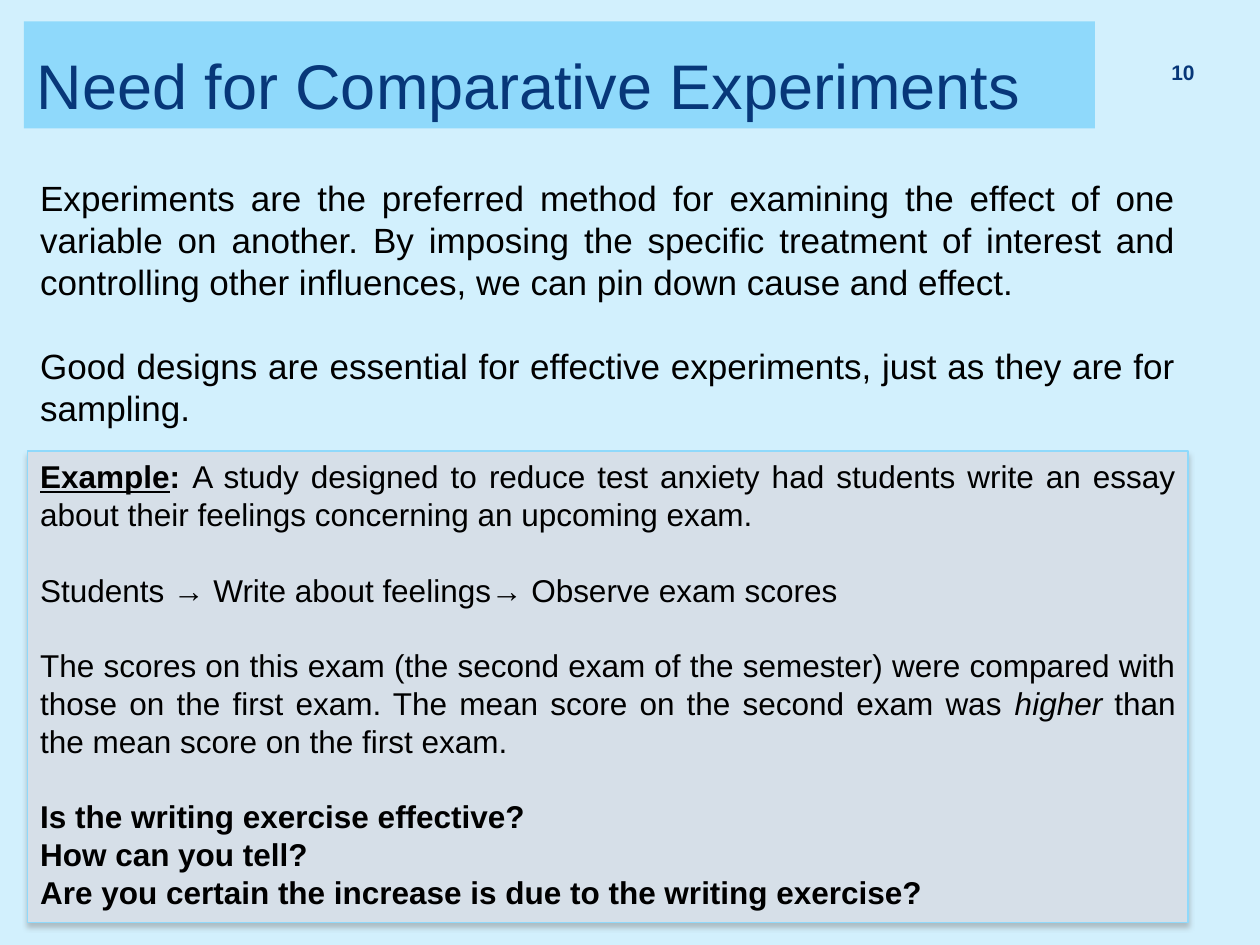
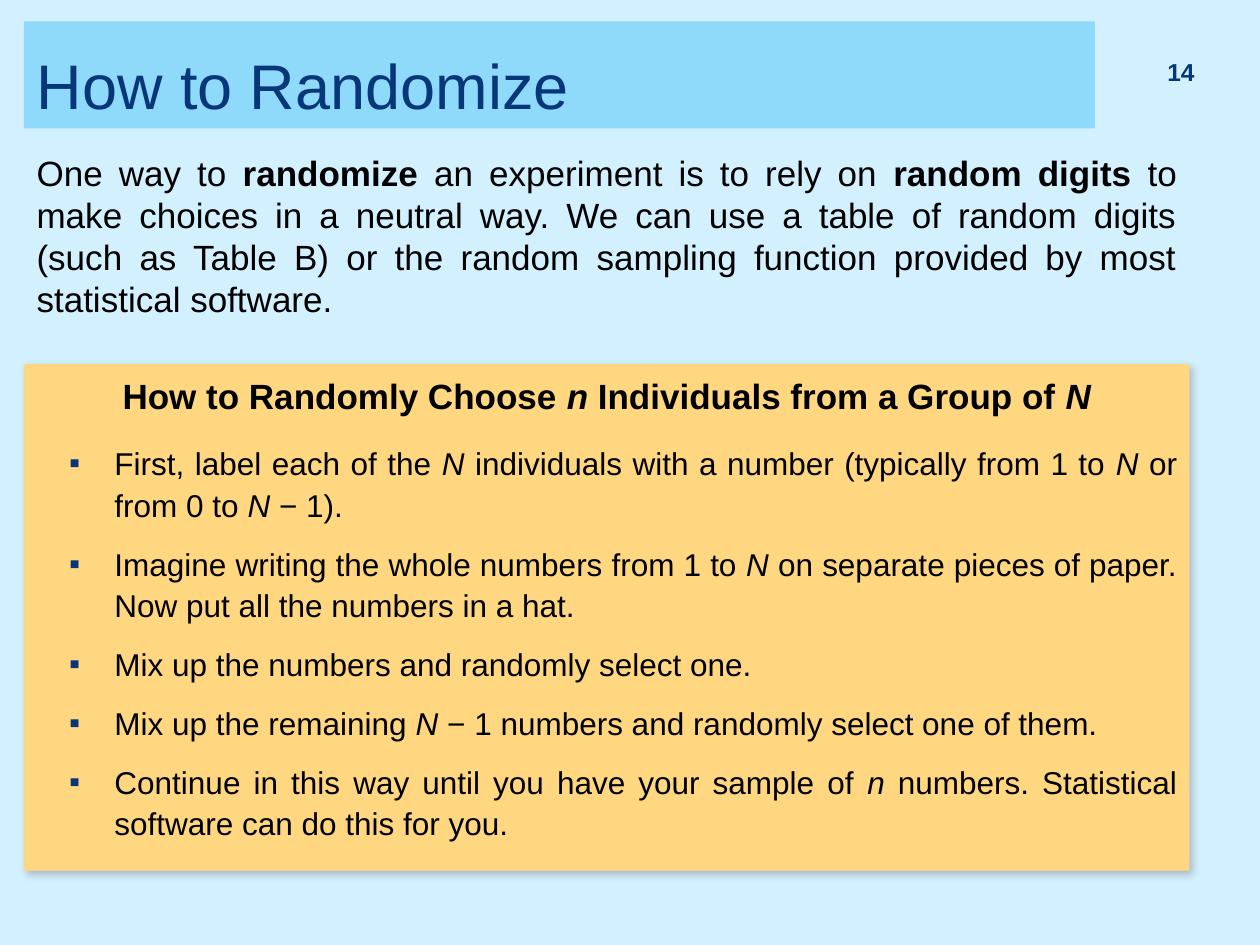
import dataclasses

import lxml.etree
import pptx
import pptx.dml.color
import pptx.enum.shapes
import pptx.enum.text
import pptx.oxml.ns
import pptx.util

Inches = pptx.util.Inches
Pt = pptx.util.Pt
RGB = pptx.dml.color.RGBColor.from_string
qn = pptx.oxml.ns.qn
ALIGN = pptx.enum.text.PP_ALIGN
ANCHOR = pptx.enum.text.MSO_ANCHOR
TITLE_AND_BODY, TITLE_ONLY = 1, 5


@dataclasses.dataclass(frozen=True)
class Theme:
    font: str = "Arial"
    background: str = "D2F0FD"
    band: str = "8FD9FB"
    navy: str = "073779"
    text: str = "000000"
    example_fill: str = "D6DFE8"
    steps_fill: str = "FFD780"
    shadow: str = "808080"
    title_size: float = 36
    lead_size: float = 20
    box_size: float = 18
    line_height: float = 1.2


THEME = Theme()


def sub(parent, tag, **attrs):
    return lxml.etree.SubElement(parent, qn(tag), attrs)


def add_paragraph(tf, parts, *, size, color=THEME.text, bold=False,
                  align=ALIGN.LEFT, line=1.0, before=0, after=0, bullet=None):
    """Add a paragraph; each part is text or (text, style letters from b, i, u)."""
    first = not tf.paragraphs[0].runs
    p = tf.paragraphs[0] if first else tf.add_paragraph()
    p.alignment = align
    p.line_spacing = line
    p.space_before = Pt(0 if first else before)
    p.space_after = Pt(after)
    pPr = p._p.get_or_add_pPr()
    pPr.set("marL", str(Inches(0.62) if bullet else 0))
    pPr.set("indent", str(Inches(-0.36) if bullet else 0))
    if bullet:
        p.level = 1
        sub(sub(pPr, "a:buClr"), "a:srgbClr", val=THEME.navy)
        sub(pPr, "a:buFont", typeface=THEME.font)
        sub(pPr, "a:buChar", char=bullet)
    else:
        sub(pPr, "a:buNone")
    for part in [parts] if isinstance(parts, str) else parts:
        text, style = (part, "") if isinstance(part, str) else part
        r = p.add_run()
        r.text = text
        r.font.name = THEME.font
        r.font.size = Pt(size)
        r.font.color.rgb = RGB(color)
        r.font.bold = bold or "b" in style
        r.font.italic = "i" in style
        r.font.underline = "u" in style
    return p


class Deck:
    def __init__(self, theme):
        self.theme = theme
        self.prs = pptx.Presentation()
        self.prs.slide_width, self.prs.slide_height = Inches(10), Inches(7.5)
        fill = self.prs.slide_master.background.fill
        fill.solid()
        fill.fore_color.rgb = RGB(theme.background)
        self.slide = None

    def frame(self, sp, at, anchor=ANCHOR.TOP):
        """Place a shape and return its text frame, wrapped at a fixed size."""
        sp.left, sp.top, sp.width, sp.height = map(Inches, at)
        tf = sp.text_frame
        tf.word_wrap = True
        tf.auto_size = pptx.enum.text.MSO_AUTO_SIZE.NONE
        tf.vertical_anchor = anchor
        return tf

    def new_slide(self, title, number, number_size, layout):
        self.slide = self.prs.slides.add_slide(self.prs.slide_layouts[layout])
        sp = self.slide.shapes.title
        sp.fill.solid()
        sp.fill.fore_color.rgb = RGB(self.theme.band)
        tf = self.frame(sp, (0.19, 0.17, 8.5, 0.85), ANCHOR.BOTTOM)
        add_paragraph(tf, title, size=self.theme.title_size, color=self.theme.navy)
        tf = self.textbox((9.03, 0.39, 0.55, 0.4), ANCHOR.MIDDLE)
        add_paragraph(tf, number, size=number_size, color=self.theme.navy,
                      bold=True, align=ALIGN.RIGHT, line=0.8)

    def textbox(self, at, anchor=ANCHOR.TOP):
        sp = self.slide.shapes.add_textbox(*map(Inches, at))
        return self.frame(sp, at, anchor)

    def body(self, at):
        return self.frame(self.slide.placeholders[1], at)

    def panel(self, at, fill, *, blur, distance, angle, alpha, line=None):
        """Add a filled box with a soft shadow and return its text frame."""
        sp = self.slide.shapes.add_shape(
            pptx.enum.shapes.MSO_SHAPE.RECTANGLE, *map(Inches, at))
        sp.fill.solid()
        sp.fill.fore_color.rgb = RGB(fill)
        if line:
            sp.line.color.rgb = RGB(line)
            sp.line.width = Pt(0.79)
        else:
            sp.line.fill.background()
        sp.shadow.inherit = False
        shadow = sub(sp._element.spPr.find(qn("a:effectLst")), "a:outerShdw",
                     blurRad=str(Pt(blur)), dist=str(Pt(distance)),
                     dir=str(angle * 60000), rotWithShape="0")
        color = sub(shadow, "a:srgbClr", val=self.theme.shadow)
        sub(color, "a:alpha", val=str(alpha * 1000))
        return self.frame(sp, at)


def comparative_experiments(deck):
    theme = deck.theme
    deck.new_slide("Need for Comparative Experiments", "10", 12, TITLE_ONLY)
    tf = deck.textbox((0.22, 1.35, 9.21, 2.12))
    for text in (
        "Experiments are the preferred method for examining the effect of one "
        "variable on another. By imposing the specific treatment of interest and "
        "controlling other influences, we can pin down cause and effect.",
        "Good designs are essential for effective experiments, just as they are "
        "for sampling.",
    ):
        add_paragraph(tf, text, size=theme.lead_size, align=ALIGN.JUSTIFY,
                      before=theme.lead_size * theme.line_height)

    tf = deck.panel((0.22, 3.58, 9.21, 3.74), theme.example_fill, line=theme.band,
                    blur=3, distance=2.4, angle=90, alpha=45)
    gap = theme.box_size * theme.line_height
    example = [
        ([("Example", "bu"), (": ", "b"),
          "A study designed to reduce test anxiety had students write an essay "
          "about their feelings concerning an upcoming exam."], ALIGN.JUSTIFY),
        ("Students → Write about feelings→ Observe exam scores", ALIGN.LEFT),
        (["The scores on this exam (the second exam of the semester) were compared "
          "with those on the first exam. The mean score on the second exam was ",
          ("higher", "i"), " than the mean score on the first exam."], ALIGN.JUSTIFY),
    ]
    for parts, align in example:
        add_paragraph(tf, parts, size=theme.box_size, align=align, before=gap)
    questions = [
        "Is the writing exercise effective?",
        "How can you tell?",
        "Are you certain the increase is due to the writing exercise?",
    ]
    for i, question in enumerate(questions):
        add_paragraph(tf, question, size=theme.box_size, bold=True,
                      before=0 if i else gap)


def how_to_randomize(deck):
    theme = deck.theme
    deck.new_slide("How to Randomize", "14", 14, TITLE_AND_BODY)
    intro = ["One way to ", ("randomize", "b"), " an experiment is to rely on ",
             ("random digits", "b"),
             " to make choices in a neutral way. We can use a table of random "
             "digits (such as Table B) or the random sampling function provided by "
             "most statistical software."]
    add_paragraph(deck.body((0.19, 1.15, 9.25, 1.51)), intro,
                  size=theme.lead_size, align=ALIGN.JUSTIFY)

    tf = deck.panel((0.19, 2.89, 9.25, 4.02), theme.steps_fill,
                    blur=4, distance=3, angle=45, alpha=43)
    heading = ["How to Randomly Choose ", ("n", "i"),
               " Individuals from a Group of ", ("N", "i")]
    add_paragraph(tf, heading, size=theme.lead_size, bold=True,
                  align=ALIGN.CENTER, line=1.1, after=0.5 * theme.lead_size)
    N = ("N", "i")
    N_minus = ("N ", "i")
    steps = [
        ["First, label each of the ", N, " individuals with a number (typically "
         "from 1 to ", N, " or from 0 to ", N_minus, "− 1)."],
        ["Imagine writing the whole numbers from 1 to ", N, " on separate pieces "
         "of paper. Now put all the numbers in a hat."],
        "Mix up the numbers and randomly select one.",
        ["Mix up the remaining ", N_minus,
         "− 1 numbers and randomly select one of them."],
        ["Continue in this way until you have your sample of ", ("n", "i"),
         " numbers. Statistical software can do this for you."],
    ]
    for step in steps:
        add_paragraph(tf, step, size=theme.box_size, align=ALIGN.JUSTIFY, line=1.1,
                      before=0.2 * theme.box_size, after=0.35 * theme.box_size,
                      bullet="▪")


def main():
    deck = Deck(THEME)
    comparative_experiments(deck)
    how_to_randomize(deck)
    deck.prs.save("out.pptx")


if __name__ == "__main__":
    main()
